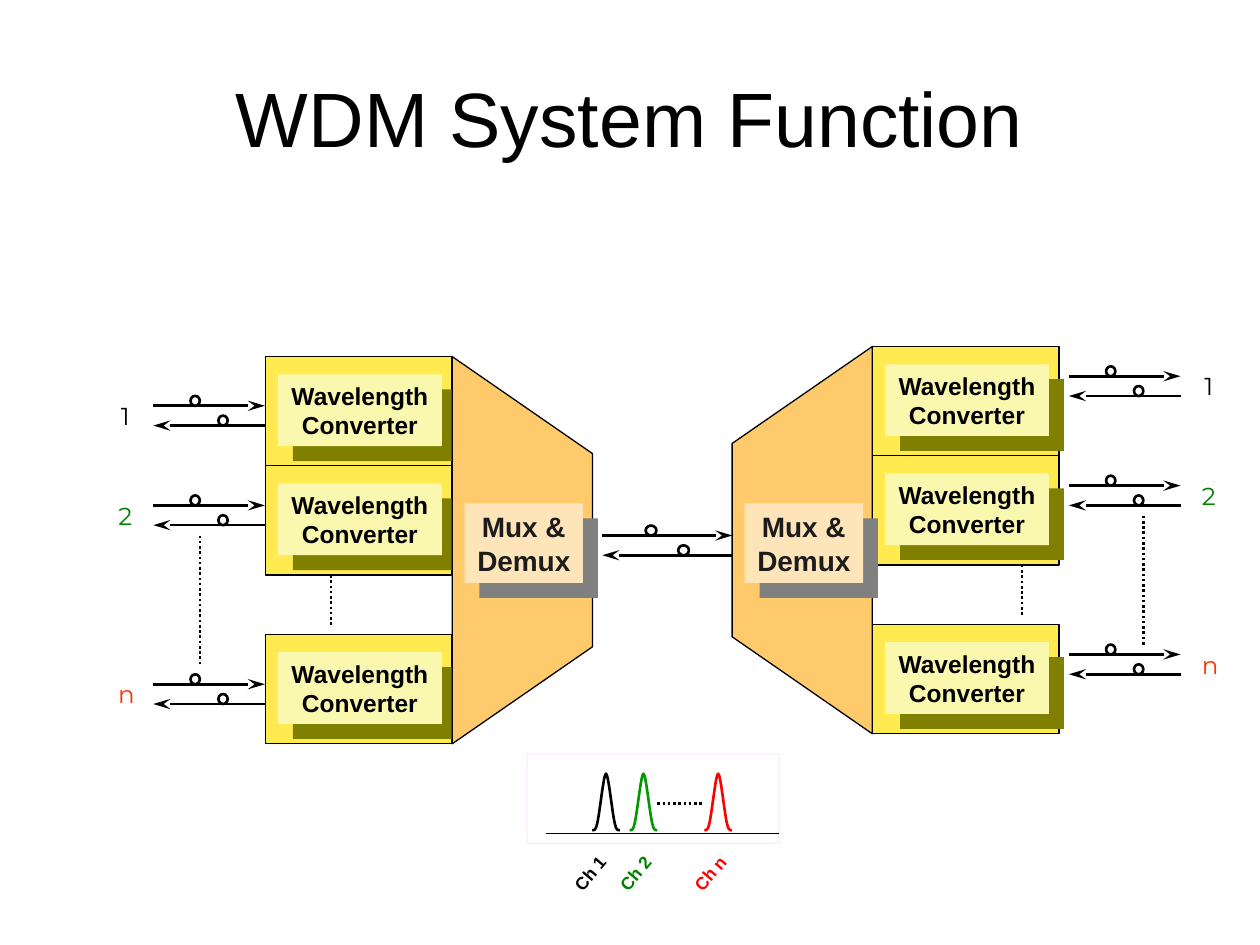
"""Build the WDM system function slide."""
from dataclasses import dataclass

from lxml.etree import SubElement
from pptx import Presentation
from pptx.dml.color import RGBColor
from pptx.enum.dml import MSO_LINE
from pptx.enum.shapes import MSO_CONNECTOR, MSO_SHAPE
from pptx.enum.text import MSO_ANCHOR, PP_ALIGN
from pptx.oxml.ns import qn
from pptx.util import Pt

BLACK = "000000"
BOX_W, BOX_H = 106.6, 62.5
TAPER_W, TAPER_INSET = 80.1, 55.4
ARROW_GAP = 11.3
PEAK_W, PEAK_TOP = 15.8, 442.1


@dataclass
class Side:
    box_x: float
    box_tops: tuple[float, ...]
    wide_x: float
    mux_x: float
    arrow_x: float
    arrow_ys: tuple[float, ...]
    number_x: float
    box_dots_x: float
    arrow_dots_x: float
    taper_w: float


@dataclass
class Channel:
    text: str
    color: str
    label_color: str
    x: float
    label_x: float


SIDES = (
    Side(151.6, (203.8, 266.1, 362.5), 258.5, 265.5,
         87.6, (231.9, 288.8, 391), 71.6, 189.1, 114.3, TAPER_W),
    Side(498.5, (198, 260.3, 356.8), 498.5, 425.5,
         610.8, (215, 277.5, 374), 690.8, 584, 653.5, -TAPER_W),
)
NUMBERS = (("1", BLACK), ("2", "008000"), ("n", "FF3300"))
CHANNELS = (
    Channel("Ch 1", BLACK, BLACK, 338.4, 337),
    Channel("Ch 2", "009900", "008000", 359.8, 362.9),
    Channel("Ch n", "FF0000", "FF0000", 402.5, 405.7),
)
RISE = ((0, 32.4), (0.7, 31.7), (1.6, 33.8), (2.8, 28.8), (4.3, 23), (6.5, 0))


def rgb(color: str) -> RGBColor:
    return RGBColor.from_string(color)


def style(sp, fill: str | None, line: str | None, width: float = 0.75) -> None:
    sp.shadow.inherit = False
    if fill:
        sp.fill.solid()
        sp.fill.fore_color.rgb = rgb(fill)
    else:
        sp.fill.background()
    if line:
        sp.line.color.rgb = rgb(line)
        sp.line.width = Pt(width)
    else:
        sp.line.fill.background()


def add_block(s, kind, x, y, w, h, fill, line, width=0.75):
    sp = s.shapes.add_shape(kind, Pt(x), Pt(y), Pt(w), Pt(h))
    style(sp, fill, line, width)
    return sp


def write(sp, text, size, color, font="Arial", bold=True, wrap=False) -> None:
    tf = sp.text_frame
    tf.word_wrap = wrap
    tf.vertical_anchor = MSO_ANCHOR.MIDDLE
    tf.text = text
    for p in tf.paragraphs:
        p.alignment = PP_ALIGN.CENTER
        p.font.name, p.font.size, p.font.bold = font, Pt(size), bold
        p.font.color.rgb = rgb(color)


def add_text(s, cx, cy, w, h, text, size, color, font="Arial", bold=True):
    sp = s.shapes.add_textbox(Pt(cx - w / 2), Pt(cy - h / 2), Pt(w), Pt(h))
    write(sp, text, size, color, font, bold)
    return sp


def add_plate(s, x, y, w, h, fill, shadow, text, size, color) -> None:
    sp = add_block(s, MSO_SHAPE.RECTANGLE, x, y, w, h, fill, None)
    effects = sp.element.spPr.find(qn("a:effectLst"))
    outer = SubElement(effects, qn("a:outerShdw"), dist=str(Pt(12.1)),
                       dir="2700000", algn="ctr", rotWithShape="0")
    SubElement(outer, qn("a:srgbClr"), val=shadow)
    write(sp, text, size, color)


def add_line(s, x1, y1, x2, y2, width=1.5, dotted=False, arrow=False) -> None:
    c = s.shapes.add_connector(MSO_CONNECTOR.STRAIGHT, Pt(x1), Pt(y1), Pt(x2), Pt(y2))
    c.line.color.rgb = rgb(BLACK)
    c.line.width = Pt(width)
    if dotted:
        c.line.dash_style = MSO_LINE.ROUND_DOT
    spPr = c.element.spPr
    if arrow:
        SubElement(spPr.find(qn("a:ln")), qn("a:tailEnd"), type="stealth",
                   w="med", len="lg")
    SubElement(spPr, qn("a:effectLst"))


def add_fiber_pair(s, x: float, y: float, w: float) -> None:
    back_y = y + ARROW_GAP
    for x1, x2, line_y, ring in ((x, x + w, y, 3 / 8), (x + w, x, back_y, 5 / 8)):
        add_line(s, x1, line_y, x2, line_y, arrow=True)
        ring_w = w / 12
        add_block(s, MSO_SHAPE.OVAL, x + w * ring - ring_w / 2, line_y - 5.7,
                  ring_w, 5.7, "FFFFFF", BLACK, 1.5)


def add_outline(s, points, fill, line, width, close):
    scaled = [(Pt(x), Pt(y)) for x, y in points]
    fb = s.shapes.build_freeform(*scaled[0])
    fb.add_line_segments(scaled[1:], close=close)
    sp = fb.convert_to_shape()
    style(sp, fill, line, width)
    return sp


def bend(sp) -> None:
    """Turn each three line segments into one cubic curve."""
    segments = list(sp.element.iter(qn("a:lnTo")))
    for i in range(0, len(segments), 3):
        curve = segments[i]
        for segment in segments[i + 1:i + 3]:
            curve.append(segment[0])
            segment.getparent().remove(segment)
        curve.tag = qn("a:cubicBezTo")


def add_peak(s, ch: Channel) -> None:
    fall = [(PEAK_W - x, y) for x, y in reversed(RISE)]
    shape = [*RISE, (PEAK_W / 2, 0), *fall]
    points = [(ch.x + x, PEAK_TOP + y) for x, y in shape]
    bend(add_outline(s, points, None, ch.color, 1.5, False))


def add_converters(s, side: Side) -> None:
    for y in side.box_tops:
        add_block(s, MSO_SHAPE.RECTANGLE, side.box_x, y, BOX_W, BOX_H, "FFEA4F", BLACK)
    for y in side.box_tops:
        add_plate(s, side.box_x + 7.3, y + 10.2, 93.6, 41, "FAF8AE", "808000",
                  "Wavelength\nConverter", 14, BLACK)


def add_taper(s, side: Side) -> None:
    top, bottom = side.box_tops[0], side.box_tops[-1] + BOX_H
    narrow_x = side.wide_x + side.taper_w
    points = [(side.wide_x, bottom), (narrow_x, bottom - TAPER_INSET),
              (narrow_x, top + TAPER_INSET), (side.wide_x, top)]
    add_outline(s, points, "FFCA6B", BLACK, 0.75, True)


def add_ports(s, side: Side) -> None:
    add_plate(s, side.mux_x, 287.7, 67.7, 45.4, "FDE5B9", "808080",
              "Mux &\vDemux", 16, "1C1C1C")
    for y, (text, color) in zip(side.arrow_ys, NUMBERS):
        add_fiber_pair(s, side.arrow_x, y, 63.8)
        add_text(s, side.number_x, y + ARROW_GAP / 2, 22.3, 23.8, text, 14, color,
                 "Montserrat", False)
    box_end = side.box_tops[1] + BOX_H
    add_line(s, side.box_dots_x, box_end, side.box_dots_x, box_end + 28.4, dotted=True)
    dots_y = side.arrow_ys[1] + 17.2
    add_line(s, side.arrow_dots_x, dots_y, side.arrow_dots_x, dots_y + 73.8, dotted=True)


def add_spectrum(s) -> None:
    frame = add_block(s, MSO_SHAPE.RECTANGLE, 301.2, 430.8, 144, 51.1, None, "FCD5FF")
    tint = frame.element.spPr.find(qn("a:ln")).find(".//" + qn("a:srgbClr"))
    SubElement(tint, qn("a:alpha"), val="50000")
    for ch in CHANNELS:
        add_peak(s, ch)
        label = add_text(s, ch.label_x, 499, 36.4, 19.4, ch.text, 10, ch.label_color)
        label.rotation = 310
    add_line(s, CHANNELS[1].x + PEAK_W, 459.2, CHANNELS[2].x, 459.2, dotted=True)
    add_line(s, 311.8, 476.2, 445, 476.2, width=0.75)


def main() -> None:
    prs = Presentation()
    prs.slide_width, prs.slide_height = Pt(720), Pt(540)
    s = prs.slides.add_slide(prs.slide_layouts[5])
    title = s.shapes.title
    title.left, title.top, title.width, title.height = Pt(36), Pt(21.6), Pt(648), Pt(90)
    write(title, "WDM System Function", 44, BLACK, bold=False, wrap=True)
    left, right = SIDES
    add_converters(s, left)
    for side in SIDES:
        add_taper(s, side)
    add_converters(s, right)
    for side in SIDES:
        add_ports(s, side)
    add_fiber_pair(s, 344.2, 306, 74.3)
    add_spectrum(s)
    prs.save("out.pptx")


if __name__ == "__main__":
    main()
